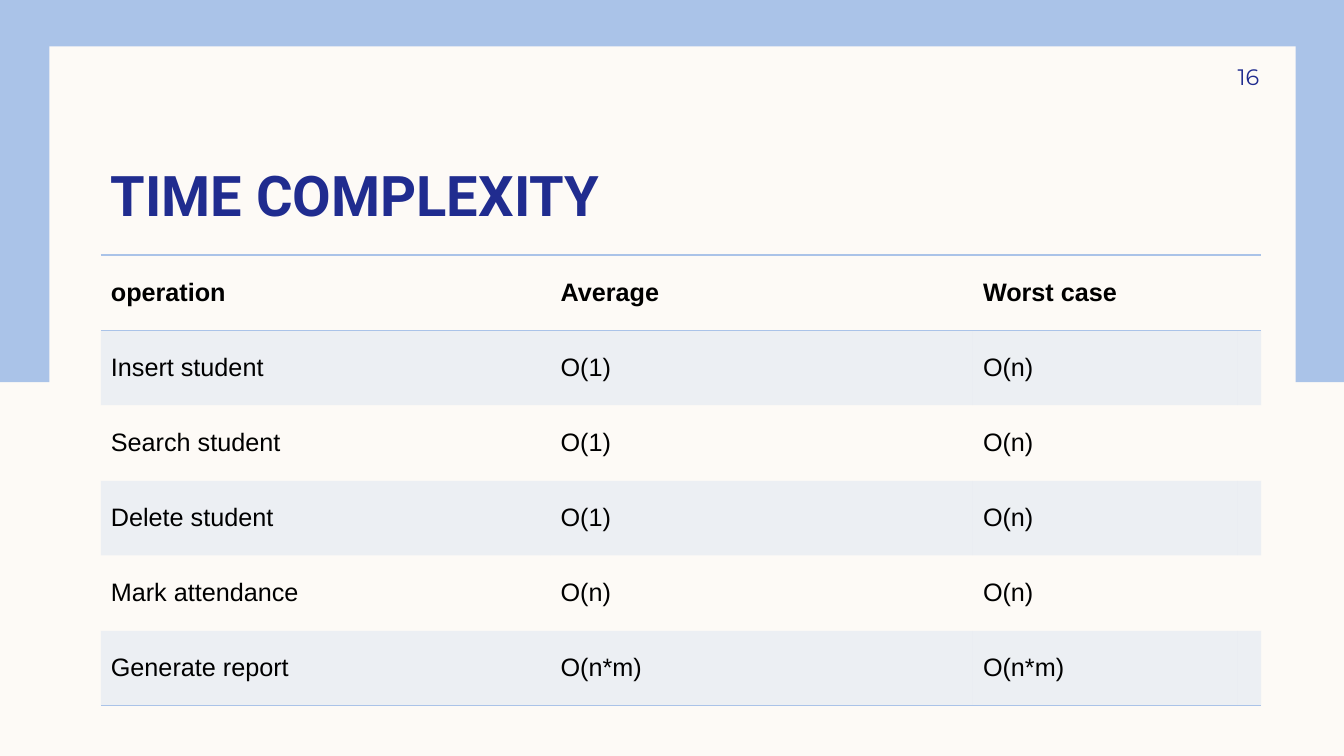
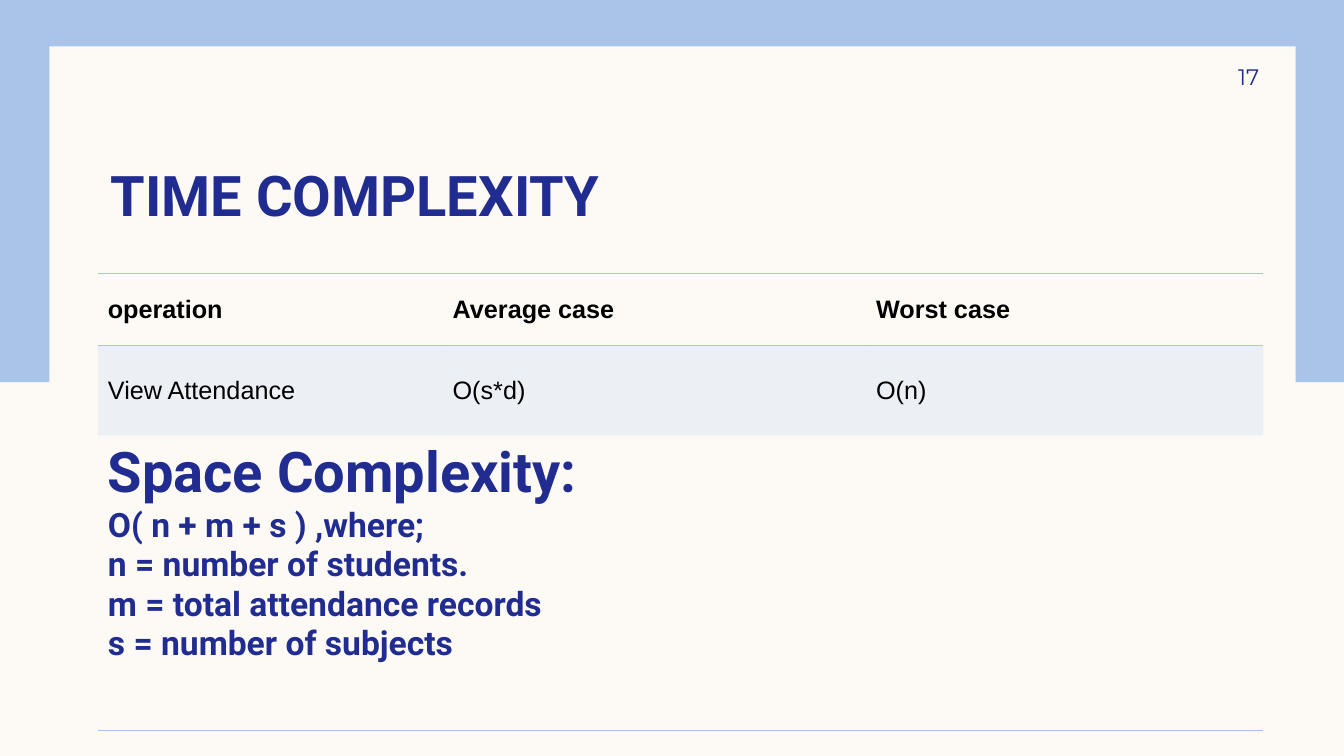
"""Build two slides on time and space complexity."""
from lxml.etree import SubElement
from pptx import Presentation
from pptx.dml.color import RGBColor
from pptx.enum.shapes import MSO_SHAPE
from pptx.enum.text import MSO_ANCHOR, MSO_AUTO_SIZE, PP_ALIGN
from pptx.oxml.ns import qn
from pptx.util import Emu, Pt

EMU_PER_PX = 9144
CREAM = RGBColor(0xFD, 0xFA, 0xF6)
SKY = RGBColor(0xAA, 0xC3, 0xE8)
NAVY = RGBColor(0x20, 0x2C, 0x8F)
BLACK = RGBColor(0, 0, 0)
HEADING_FONT = "Roboto"
TABLE_FONT = "Arial"
NUMBER_FONT = "Montserrat"
PLAIN_TABLE_STYLE = "{2D5ABB26-0587-4C30-8999-92F81FD0307C}"


def px(length):
    """Turn px into EMU."""
    return Emu(length * EMU_PER_PX)


def box(left, top, width, height):
    """Turn a box in px into EMU."""
    return px(left), px(top), px(width), px(height)


class Deck:
    """Hold the style and the current slide."""

    def __init__(self):
        """Set the slide size and the background."""
        self.presentation = Presentation()
        self.presentation.slide_width = px(1333)
        self.presentation.slide_height = px(750)
        background = self.presentation.slide_master.background.fill
        background.solid()
        background.fore_color.rgb = CREAM
        self.layout = self.presentation.slide_layouts[5]
        self.slide = None

    def add_slide(self, title, number):
        """Start a slide with its title and page number."""
        self.slide = self.presentation.slides.add_slide(self.layout)
        if len(self.presentation.slides) == 1:
            self.frame()
        self.title(title)
        self.page_number(number)

    def frame(self):
        """Put the sky band and the cream panel on the layout."""
        band = self.rectangle(0, 0, 1333, 379, SKY)
        panel = self.rectangle(49, 46, 1236, 659, CREAM)
        for position, shape in enumerate((band, panel), start=2):
            self.layout.shapes.element.insert(position, shape.element)

    def rectangle(self, left, top, width, height, color):
        """Draw a plain filled rectangle."""
        shape = self.slide.shapes.add_shape(
            MSO_SHAPE.RECTANGLE, *box(left, top, width, height))
        shape.shadow.inherit = False
        shape.fill.solid()
        shape.fill.fore_color.rgb = color
        shape.line.fill.background()
        return shape

    def style(self, paragraph, font_name, size, color, bold=False):
        """Set the font of a paragraph."""
        font = paragraph.font
        font.name = font_name
        font.size = Pt(size)
        font.color.rgb = color
        font.bold = bold

    def title(self, text):
        """Fill the title placeholder."""
        title = self.slide.shapes.title
        title.left, title.top, title.width, title.height = box(100, 115, 1150, 111)
        frame = title.text_frame
        frame.text = text
        frame.auto_size = MSO_AUTO_SIZE.NONE
        frame.vertical_anchor = MSO_ANCHOR.BOTTOM
        frame.margin_top = frame.margin_bottom = 0
        paragraph = frame.paragraphs[0]
        paragraph.alignment = PP_ALIGN.LEFT
        self.style(paragraph, HEADING_FONT, 40, NAVY, bold=True)

    def page_number(self, number):
        """Write the page number in the top right corner."""
        frame = self.slide.shapes.add_textbox(*box(1132, 50, 117, 52)).text_frame
        frame.word_wrap = True
        frame.vertical_anchor = MSO_ANCHOR.MIDDLE
        frame.margin_right = 0
        frame.text = str(number)
        paragraph = frame.paragraphs[0]
        paragraph.alignment = PP_ALIGN.RIGHT
        self.style(paragraph, NUMBER_FONT, 16, NAVY)

    def table(self, left, top, widths, heights, rows):
        """Add a table with a bold header, bands and rules."""
        shape = self.slide.shapes.add_table(
            len(heights), len(widths),
            *box(left, top, sum(widths), sum(heights)))
        table = shape.table
        table.horz_banding = False
        shape.element.find(".//" + qn("a:tableStyleId")).text = PLAIN_TABLE_STYLE
        for column, width in zip(table.columns, widths):
            column.width = px(width)
        last = len(heights) - 1
        for index, height in enumerate(heights):
            table.rows[index].height = px(height)
            edges = {0: ("a:lnT", "a:lnB"), last: ("a:lnB",)}.get(index, ())
            for cell in table.rows[index].cells:
                self.rules(cell, edges)
                self.shade(cell, index % 2 == 1)
        for index, row in enumerate(rows):
            for cell, text in zip(table.rows[index].cells, row):
                cell.text = text
                cell.vertical_anchor = MSO_ANCHOR.MIDDLE
                self.style(cell.text_frame.paragraphs[0], TABLE_FONT, 18,
                           BLACK, bold=index == 0)
        return table

    def rules(self, cell, edges):
        """Draw rules on the named edges of a cell."""
        properties = cell._tc.get_or_add_tcPr()
        for edge in edges:
            line = SubElement(properties, qn(edge), w=str(Pt(1)))
            fill = SubElement(line, qn("a:solidFill"))
            SubElement(fill, qn("a:srgbClr"), val=str(SKY))

    def shade(self, cell, banded):
        """Give a cell a pale band or no fill."""
        if not banded:
            cell.fill.background()
            return
        cell.fill.solid()
        cell.fill.fore_color.rgb = SKY
        color = cell._tc.get_or_add_tcPr().find(qn("a:solidFill"))[0]
        SubElement(color, qn("a:alpha"), val="20000")

    def closing_row(self, table, heading, lines):
        """Merge the last row and write a heading with lines below it."""
        cells = list(table.rows[len(table.rows) - 1].cells)
        cells[0].merge(cells[-1])
        cells[0].vertical_anchor = MSO_ANCHOR.TOP
        frame = cells[0].text_frame
        frame.text = "\n".join([heading, *lines])
        for index, paragraph in enumerate(frame.paragraphs):
            self.style(paragraph, HEADING_FONT, 24 if index else 40, NAVY, bold=True)


def main():
    """Build and save the slides."""
    deck = Deck()
    deck.add_slide("TIME COMPLEXITY", 16)
    deck.table(100, 253, [446, 419, 262, 23], [75, 74] * 3, [
        ("operation", "Average", "Worst case"),
        ("Insert student", "O(1)", "O(n)"),
        ("Search student", "O(1)", "O(n)"),
        ("Delete student", "O(1)", "O(n)"),
        ("Mark attendance", "O(n)", "O(n)"),
        ("Generate report", "O(n*m)", "O(n*m)"),
    ])

    deck.add_slide("TIME COMPLEXITY", 17)
    table = deck.table(97, 271, [342, 420, 394], [72, 89, 293], [
        ("operation", "Average case", "Worst case"),
        ("View Attendance", "O(s*d)", "O(n)"),
    ])
    deck.closing_row(table, "Space Complexity:", [
        "O( n + m + s ) ,where;",
        "n = number of students.",
        "m = total attendance records",
        "s = number of subjects",
    ])
    deck.presentation.save("out.pptx")


if __name__ == "__main__":
    main()
